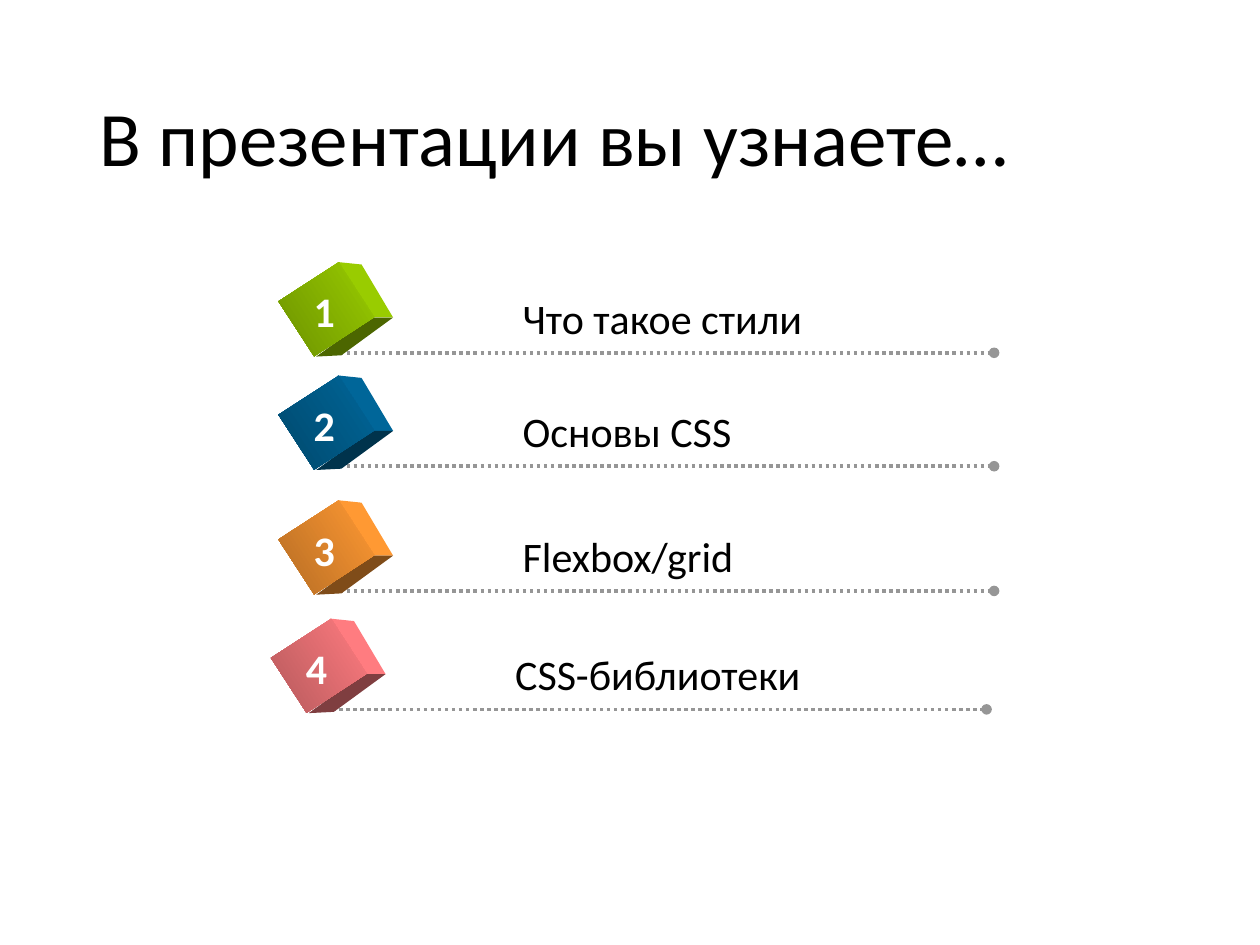
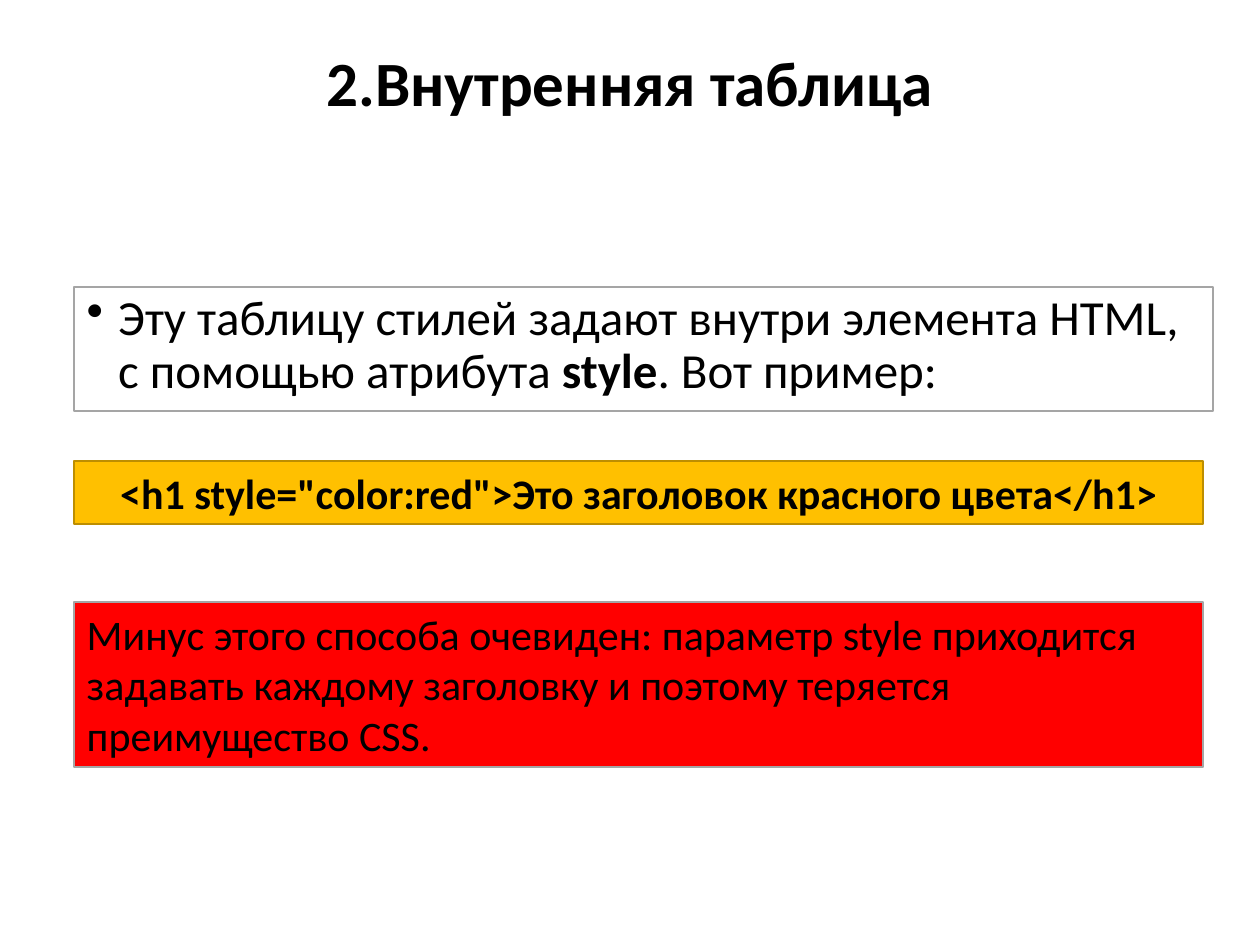
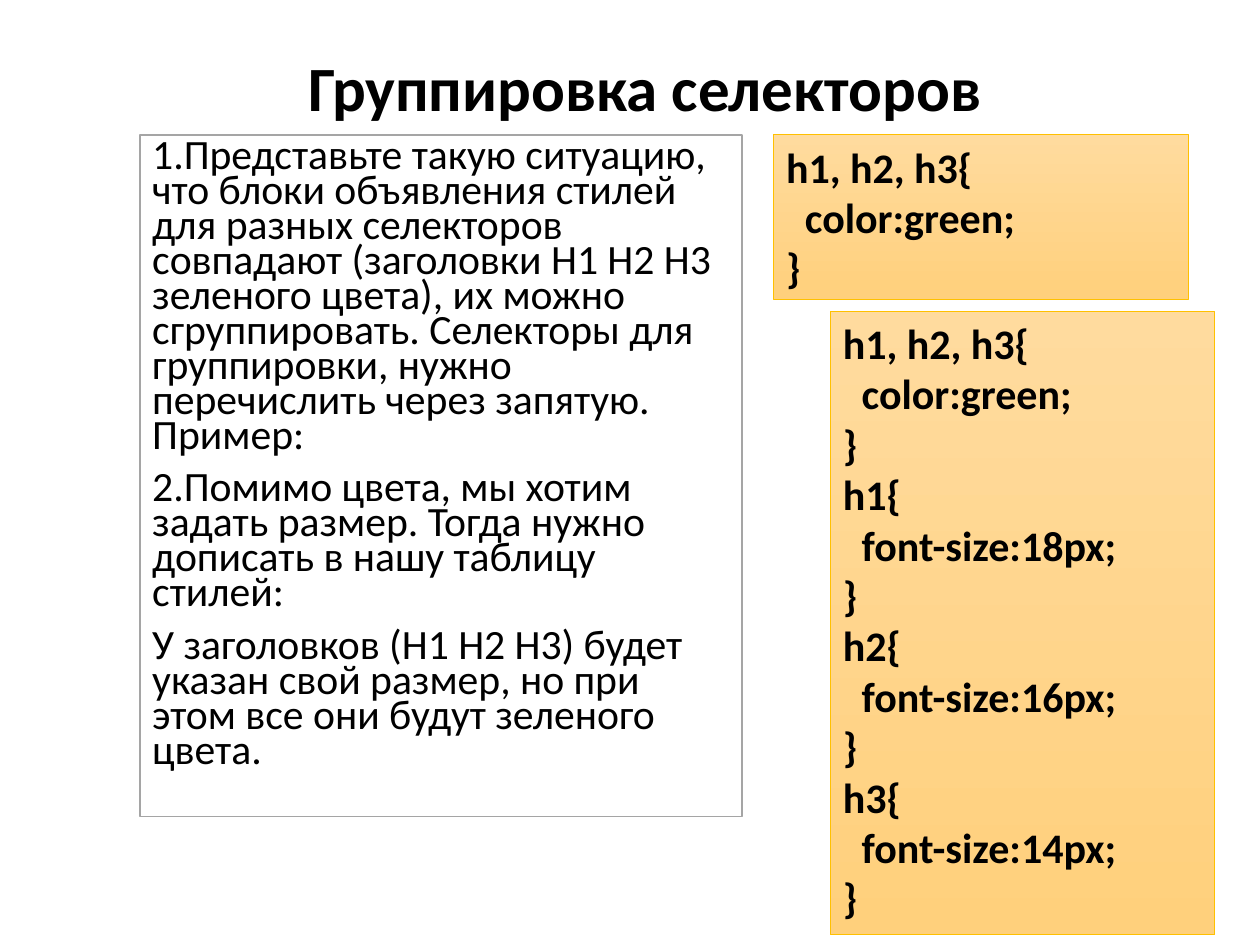
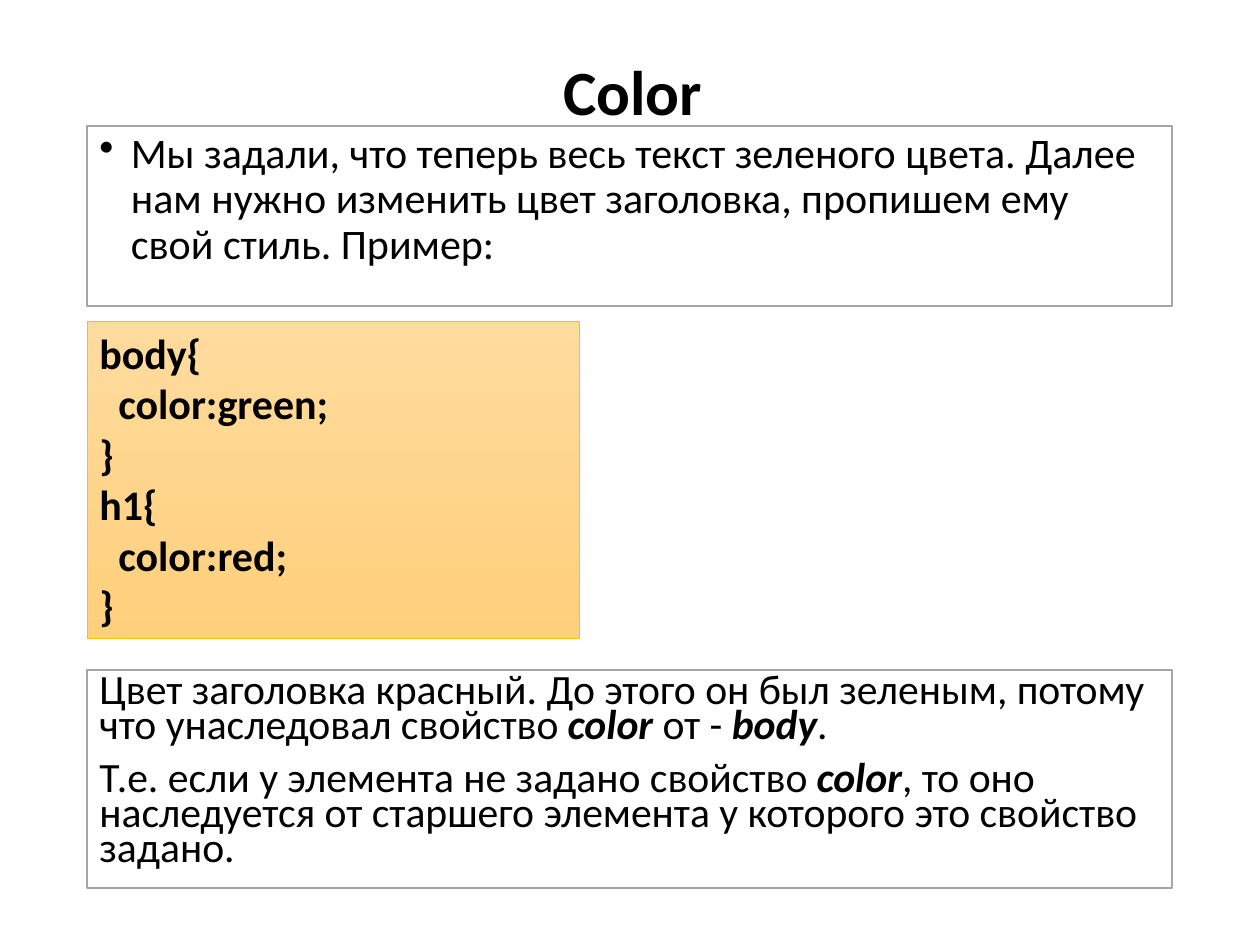
"""Build four slides on CSS styles: agenda, inline style, grouping and colour."""
from dataclasses import dataclass

import pptx
import pptx.dml.color
import pptx.enum.dml
import pptx.enum.shapes
import pptx.enum.text
import pptx.oxml
import pptx.oxml.ns
import pptx.util
from pptx.util import Inches


@dataclass(frozen=True)
class Theme:
    font: str = "Calibri"
    ink: str = "000000"
    white: str = "FFFFFF"
    border: str = "A5A5A5"
    dots: str = "969696"
    gold: str = "FFC000"
    gold_edge: str = "BD8E00"
    red: str = "FF0000"
    code: tuple = ("FFDB9E", "FFD07C")
    agenda_size: float = 44
    title_size: float = 36
    lead_size: float = 28
    text_size: float = 24
    tight_size: float = 23.8


T = Theme()
ALIGN = pptx.enum.text.PP_ALIGN
ANCHOR = pptx.enum.text.MSO_ANCHOR
SHAPE = pptx.enum.shapes.MSO_SHAPE

AGENDA_TITLE = "В презентации вы узнаете…"
AGENDA = [
    ("1", "Что такое стили", 2.44, (2.64, 2.8), ("99CC00", "6D9200")),
    ("2", "Основы CSS", 1.87, (2.64, 3.7), ("006699", "00496D")),
    ("3", "Flexbox/grid", 1.89, (2.64, 4.69), ("FF9933", "B66D24")),
    ("4", "CSS-библиотеки", 2.49, (2.58, 5.63), ("FF7C80", "B6595C")),
]
RIGHT_FACE = [(0.04, -0.72), (0.23, -0.7), (0.48, -0.28), (0.3, -0.28)]
BOTTOM_FACE = [(-0.13, 0.03), (0.3, -0.28), (0.48, -0.28), (0.07, 0.02)]

INLINE_LEAD = [[
    ("Эту таблицу стилей задают внутри элемента HTML, с помощью атрибута ", ""),
    ("style", "b"),
    (". Вот пример:", ""),
]]
INLINE_CODE = ['<h1 style="color:red">Это заголовок красного цвета</h1>']
INLINE_MINUS = [
    "Минус этого способа очевиден: параметр style приходится задавать каждому "
    "заголовку и поэтому теряется преимущество CSS."
]

GROUPING_TEXT = [
    "1.Представьте такую ситуацию, что блоки объявления стилей для разных "
    "селекторов совпадают (заголовки H1 H2 H3 зеленого цвета), их можно "
    "сгруппировать. Селекторы для группировки, нужно перечислить через "
    "запятую. Пример:",
    "2.Помимо цвета, мы хотим задать размер. Тогда нужно дописать в нашу "
    "таблицу стилей:",
    "У заголовков (H1 H2 H3) будет указан свой размер, но при этом все они "
    "будут зеленого цвета.",
]
GROUP_RULE = ["h1, h2, h3{", "color:green;", "}"]
SIZE_RULES = [
    "h1{", "font-size:18px;", "}",
    "h2{", "font-size:16px;", "}",
    "h3{", "font-size:14px;", "}",
]

COLOR_LEAD = [
    "Мы задали, что теперь весь текст зеленого цвета. Далее нам нужно изменить "
    "цвет заголовка, пропишем ему свой стиль. Пример:"
]
COLOR_RULES = ["body{", "color:green;", "}", "h1{", "color:red;", "}"]
COLOR_NOTES = [
    [
        ("Цвет заголовка красный. До этого он был зеленым, потому что "
         "унаследовал свойство ", ""),
        ("color ", "bi"),
        ("от - ", ""),
        ("body", "bi"),
        (".", ""),
    ],
    [
        ("Т.е. если у элемента не задано свойство ", ""),
        ("color", "bi"),
        (", то оно наследуется от старшего элемента у которого это свойство "
         "задано.", ""),
    ],
]


def rgb(value):
    return pptx.dml.color.RGBColor.from_string(value)


def set_fill(sp, fill):
    if isinstance(fill, tuple):
        sp.fill.gradient()
        sp.fill.gradient_angle = 270
        for stop, color in zip(sp.fill.gradient_stops, fill):
            stop.color.rgb = rgb(color)
    else:
        sp.fill.solid()
        sp.fill.fore_color.rgb = rgb(fill)


def set_line(sp, color, width):
    if color is None:
        sp.line.fill.background()
    else:
        sp.line.color.rgb = rgb(color)
        sp.line.width = pptx.util.Pt(width)


def add_xml(parent, tag, attrs=""):
    ns = pptx.oxml.ns.nsdecls("a")
    parent.append(pptx.oxml.parse_xml(f"<a:{tag} {ns} {attrs}/>"))


def write(sp, paragraphs, size=T.text_size, color=T.ink, bold=False,
          align=ALIGN.LEFT, anchor=ANCHOR.TOP, wrap=True, spacing=None,
          before=None, bullet=False, code=False):
    tf = sp.text_frame
    tf.word_wrap = wrap
    tf.vertical_anchor = anchor
    for i, runs in enumerate(paragraphs):
        p = tf.paragraphs[0] if i == 0 else tf.add_paragraph()
        p.alignment = align
        if spacing:
            p.line_spacing = spacing
        if before:
            p.space_before = pptx.util.Pt(before)
        p_pr = p._p.get_or_add_pPr()
        if bullet:
            p_pr.set("marL", str(Inches(0.25)))
            p_pr.set("indent", str(-Inches(0.25)))
            add_xml(p_pr, "buChar", 'char="•"')
        if code and runs.endswith(";"):
            p_pr.set("marL", str(Inches(0.15)))
        for text, style in [(runs, "")] if isinstance(runs, str) else runs:
            r = p.add_run()
            r.text = text
            r.font.name = T.font
            r.font.size = pptx.util.Pt(size)
            r.font.color.rgb = rgb(color)
            r.font.bold = bold or "b" in style
            r.font.italic = "i" in style


def add_text(parent, at, text, **fmt):
    sp = parent.shapes.add_textbox(*map(Inches, at))
    write(sp, [text], **fmt)


def add_title(s, at, text, size=T.title_size, bold=True, align=ALIGN.CENTER):
    add_text(s, at, text, size=size, bold=bold, align=align,
             anchor=ANCHOR.MIDDLE, spacing=0.9)


def add_rect(parent, at, fill, line=None, width=1):
    sp = parent.shapes.add_shape(SHAPE.RECTANGLE, *map(Inches, at))
    sp.shadow.inherit = False
    set_fill(sp, fill)
    set_line(sp, line, width)
    return sp


def add_box(s, at, paragraphs, fill=T.white, line=T.border, **fmt):
    write(add_rect(s, at, fill, line), paragraphs, **fmt)


def add_code(s, at, lines):
    write(add_rect(s, at, T.code, T.gold, 0.5), lines, bold=True, code=True)


def add_face(parent, x, y, offsets, color):
    points = [(Inches(x + dx), Inches(y + dy)) for dx, dy in offsets]
    builder = parent.shapes.build_freeform(*points[0])
    builder.add_line_segments(points[1:], close=True)
    sp = builder.convert_to_shape()
    sp.shadow.inherit = False
    set_fill(sp, color)
    set_line(sp, None, 0)


def add_dotted_line(parent, x, y, length):
    c = parent.shapes.add_connector(
        pptx.enum.shapes.MSO_CONNECTOR.STRAIGHT,
        Inches(x), Inches(y), Inches(x + length), Inches(y))
    set_line(c, T.dots, 2)
    c.line.dash_style = pptx.enum.dml.MSO_LINE.ROUND_DOT
    sp_pr = c._element.spPr
    add_xml(sp_pr.find(pptx.oxml.ns.qn("a:ln")), "tailEnd", 'type="oval"')
    add_xml(sp_pr, "effectLst")


def halve(color):
    return "".join(f"{int(color[i:i + 2], 16) // 2:02X}" for i in (0, 2, 4))


def add_agenda_row(s, number, label, label_width, origin, colors):
    x, y = origin
    group = s.shapes.add_group_shape()
    add_dotted_line(group, x, y, 5.25)
    add_face(group, x, y, RIGHT_FACE, colors[0])
    add_face(group, x, y, BOTTOM_FACE, halve(colors[0]))
    front = add_rect(group, (x - 0.31, y - 0.63, 0.52, 0.57), colors)
    front.rotation = 57
    add_text(group, (x + 1.41, y - 0.53, label_width, 0.51), label, wrap=False)
    add_text(group, (x - 0.25, y - 0.58, 0.37, 0.51), number,
             color=T.white, bold=True, wrap=False)


def agenda_slide(s):
    add_title(s, (0.69, 0.4, 8.62, 1.45), AGENDA_TITLE,
              size=T.agenda_size, bold=False, align=ALIGN.LEFT)
    for row in AGENDA:
        add_agenda_row(s, *row)


def inline_slide(s):
    add_title(s, (0.69, 0.14, 8.62, 1.09), "2.Внутренняя таблица")
    add_box(s, (0.59, 2.28, 9.04, 0.98), INLINE_LEAD, size=T.lead_size,
            spacing=0.9, before=10, bullet=True)
    add_box(s, (0.59, 3.66, 8.96, 0.5), INLINE_CODE, fill=T.gold,
            line=T.gold_edge, bold=True, align=ALIGN.CENTER)
    add_box(s, (0.59, 4.78, 8.96, 1.31), INLINE_MINUS, fill=T.red)


def grouping_slide(s):
    add_title(s, (0.81, 0, 8.62, 1.45), "Группировка селекторов")
    add_box(s, (1.11, 1.07, 4.78, 5.41), GROUPING_TEXT, size=T.tight_size,
            spacing=0.7, before=10)
    add_code(s, (6.14, 1.07, 3.29, 1.31), GROUP_RULE)
    add_code(s, (6.59, 2.47, 3.05, 4.95), GROUP_RULE + SIZE_RULES)


def color_slide(s):
    add_title(s, (0.71, 0.03, 8.62, 1.45), "Color")
    add_box(s, (0.69, 1, 8.61, 1.43), COLOR_LEAD, spacing=0.9, before=10,
            bullet=True)
    add_code(s, (0.69, 2.55, 3.91, 2.52), COLOR_RULES)
    add_box(s, (0.69, 5.32, 8.61, 1.73), COLOR_NOTES, size=T.tight_size,
            spacing=0.7, before=10)


def main():
    prs = pptx.Presentation()
    prs.slide_width, prs.slide_height = Inches(10), Inches(7.5)
    for build in (agenda_slide, inline_slide, grouping_slide, color_slide):
        build(prs.slides.add_slide(prs.slide_layouts[6]))
    prs.save("out.pptx")


if __name__ == "__main__":
    main()
